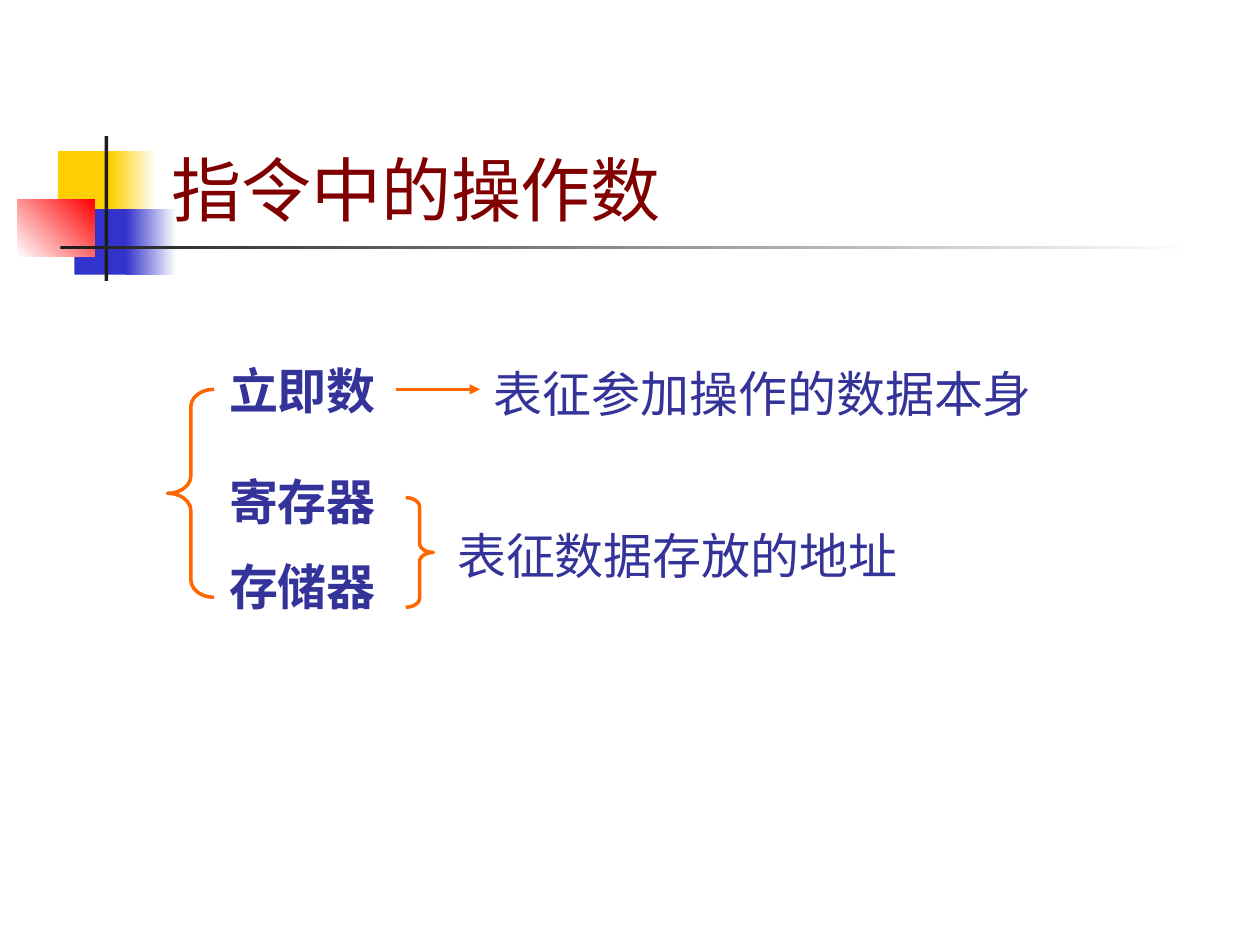
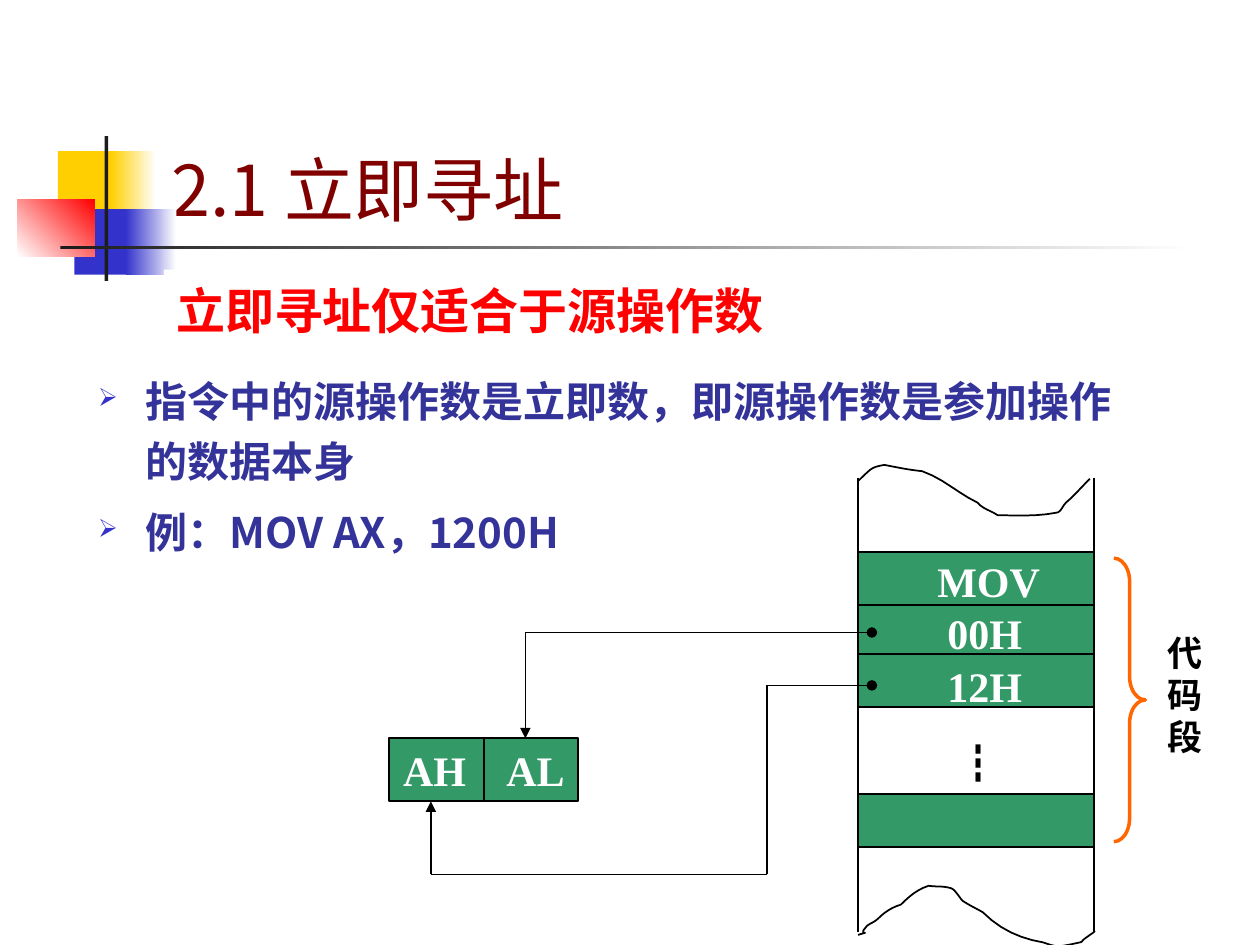
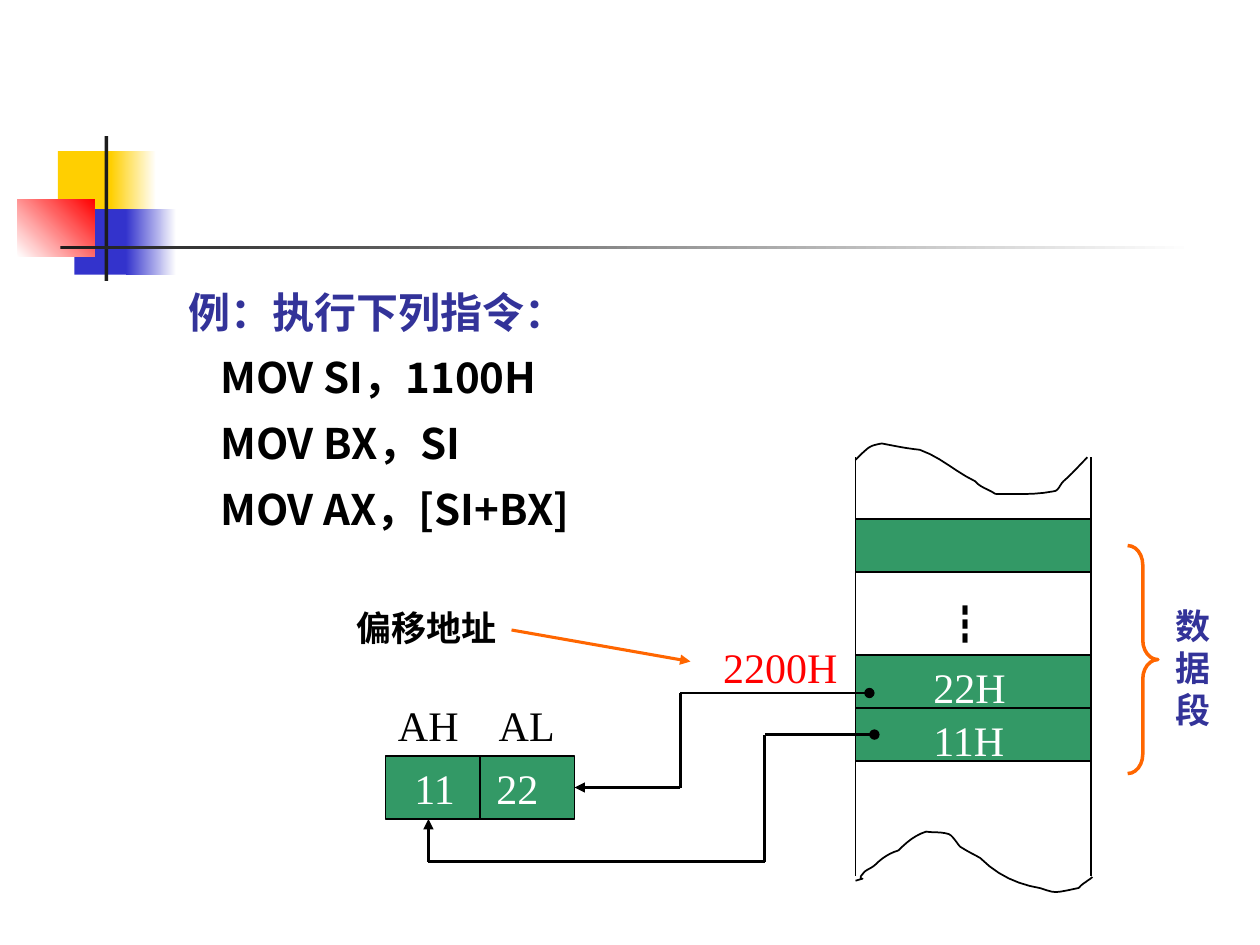
from lxml import etree
from pptx import Presentation, util as u
from pptx.dml.color import RGBColor
from pptx.enum import shapes, text
from pptx.oxml import ns

YELLOW = RGBColor(0xFF, 0xCF, 0x01)
BLUE = RGBColor(0x33, 0x33, 0xCC)
INDIGO = RGBColor(0x33, 0x33, 0x99)
RED = RGBColor(0xFF, 0x00, 0x00)
MAROON = RGBColor(0x80, 0x00, 0x00)
ORANGE = RGBColor(0xFF, 0x66, 0x00)
GREEN = RGBColor(0x33, 0x99, 0x66)
CHARCOAL = RGBColor(0x1C, 0x1C, 0x1C)
BLACK = RGBColor(0, 0, 0)
WHITE = RGBColor(0xFF, 0xFF, 0xFF)

SANS = "Noto Sans CJK SC"
SERIF = "Times New Roman"
LINE_HEIGHT = 1.2
CELL_HEIGHT = 0.42
STRIP_WIDTH = 1.87
TITLE_BOX = (1.26, 0.23, 8.52, 1.6)

TOP_WAVE = [
    (0, 0.13), (0.02, 0.11), (0.09, 0.04), (0.11, 0.03), (0.14, 0.01),
    (0.21, 0), (0.21, 0), (0.31, 0.02), (0.41, 0.04), (0.51, 0.05),
    (0.68, 0.11), (0.8, 0.23), (0.95, 0.3), (0.99, 0.35), (1.05, 0.36),
    (1.11, 0.4), (1.26, 0.4), (1.42, 0.41), (1.57, 0.38), (1.61, 0.38),
    (1.62, 0.33), (1.65, 0.3), (1.72, 0.24), (1.78, 0.17), (1.84, 0.11),
]
BOTTOM_WAVE = [
    (0, 0.39), (0.13, 0.35), (-0.02, 0.41), (0.07, 0.32), (0.09, 0.3),
    (0.13, 0.29), (0.16, 0.26), (0.21, 0.21), (0.27, 0.17), (0.34, 0.15),
    (0.41, 0.08), (0.47, 0.03), (0.56, 0), (0.62, 0.01), (0.68, 0),
    (0.74, 0.02), (0.77, 0.03), (0.81, 0.1), (0.83, 0.12), (0.91, 0.17),
    (0.92, 0.17), (0.99, 0.21), (1.13, 0.35), (1.29, 0.42), (1.47, 0.45),
    (1.59, 0.49), (1.57, 0.49), (1.76, 0.45), (1.78, 0.45), (1.78, 0.43),
    (1.8, 0.42), (1.81, 0.41), (1.83, 0.4), (1.84, 0.39), (1.86, 0.38),
    (1.88, 0.36), (1.88, 0.36),
]


def assign(target, **values):
    for name, value in values.items():
        setattr(target, name, value)


def inches(box):
    return [u.Inches(length) for length in box]


def add_node(parent, tag, **values):
    return etree.SubElement(parent, ns.qn(tag), values)


def add_block(page, kind, box, fill=None, line=None, weight=1.0, fade=None, angle=0):
    block = page.shapes.add_shape(kind, *inches(box))
    block.shadow.inherit = False
    if fade is not None:
        block.fill.gradient()
        block.fill.gradient_angle = angle
        for stop, color in zip(block.fill.gradient_stops, (fill, fade)):
            stop.color.rgb = color
    elif fill is not None:
        block.fill.solid()
        block.fill.fore_color.rgb = fill
    else:
        block.fill.background()
    if line is None:
        block.line.fill.background()
    else:
        block.line.color.rgb = line
        block.line.width = u.Pt(weight)
    return block


def add_brace(page, kind, box, curl):
    brace = add_block(page, kind, box, line=ORANGE, weight=2)
    brace.adjustments[0] = curl


def add_line(page, start, end, color=BLACK, weight=1.0, head=None, tail=None):
    line = page.shapes.add_connector(
        shapes.MSO_CONNECTOR.STRAIGHT, *inches(start + end))
    line.line.color.rgb = color
    line.line.width = u.Pt(weight)
    outline = line.line._get_or_add_ln()
    for tag, kind in (("a:headEnd", head), ("a:tailEnd", tail)):
        if kind:
            add_node(outline, tag, type=kind)
    add_node(line._element.spPr, "a:effectLst")


def add_wire(page, points, weight):
    last = len(points) - 2
    for index, (start, end) in enumerate(zip(points, points[1:])):
        add_line(page, start, end, weight=weight,
                 head="oval" if index == 0 else None,
                 tail="triangle" if index == last else None)


def write(frame, lines, size, color, font=SANS, bold=False, spacing=1.0,
          before=0, after=0):
    shift = 0.09 * size / 72 if font == SANS else 0
    assign(frame, word_wrap=True, auto_size=text.MSO_AUTO_SIZE.NONE,
           margin_left=u.Inches(0.1), margin_right=u.Inches(0.1),
           margin_top=u.Inches(0.05 + shift), margin_bottom=u.Inches(0))
    for index, words in enumerate(lines):
        para = frame.add_paragraph() if index else frame.paragraphs[0]
        assign(para, alignment=text.PP_ALIGN.LEFT,
               line_spacing=u.Pt(size * LINE_HEIGHT * spacing),
               space_before=u.Pt(size * before), space_after=u.Pt(size * after))
        span = para.add_run()
        span.text = words
        assign(span.font, size=u.Pt(size), bold=bold, name=font)
        span.font.color.rgb = color
        add_node(span.font._element, "a:ea", typeface=SANS)


def add_text(page, box, lines, size, color, **style):
    label = page.shapes.add_textbox(*inches(box))
    write(label.text_frame, lines, size, color, **style)
    return label


def indent(para, left, hanging=0.0):
    layout = para._p.get_or_add_pPr()
    layout.set("marL", str(u.Inches(left)))
    layout.set("indent", str(-u.Inches(hanging)))
    return layout


def add_bullet(para):
    layout = indent(para, 0.38, 0.38)
    tint = add_node(layout, "a:buClr")
    add_node(tint, "a:srgbClr", val=str(BLUE))
    add_node(layout, "a:buSzPct", val="60000")
    add_node(layout, "a:buChar", char="➢")


def add_curve(page, left, top, points):
    places = [points[0]]
    for first in range(0, len(points) - 1, 3):
        corners = points[first:first + 4]
        for step in range(1, 7):
            t = step / 6
            weights = ((1 - t) ** 3, 3 * t * (1 - t) ** 2, 3 * t * t * (1 - t), t ** 3)
            places.append(tuple(
                sum(weight * corner[axis] for weight, corner in zip(weights, corners))
                for axis in (0, 1)))
    places = [(u.Inches(left + x), u.Inches(top + y)) for x, y in places]
    builder = page.shapes.build_freeform(*places[0])
    builder.add_line_segments(places[1:], close=False)
    wave = builder.convert_to_shape()
    wave.shadow.inherit = False
    wave.fill.background()
    wave.line.color.rgb = BLACK
    wave.line.width = u.Pt(1)


def add_ornament(page):
    rect = shapes.MSO_SHAPE.RECTANGLE
    for box, fill, fade, angle in (
        ((0.46, 1.2, 0.48, 0.52), YELLOW, None, 0),
        ((0.88, 1.2, 0.36, 0.52), YELLOW, WHITE, 0),
        ((0.59, 1.66, 0.46, 0.52), BLUE, None, 0),
        ((1, 1.66, 0.4, 0.52), BLUE, WHITE, 0),
        ((0.14, 1.58, 0.61, 0.46), WHITE, RED, 45),
        ((0.83, 1.08, 0.03, 1.15), CHARCOAL, None, 0),
        ((0.48, 1.95, 9, 0.03), CHARCOAL, WHITE, 0),
    ):
        add_block(page, rect, box, fill, fade=fade, angle=angle)


def add_page(deck, title=None):
    page = deck.slides.add_slide(deck.slide_layouts[5 if title else 6])
    add_ornament(page)
    if title:
        heading = page.shapes.title
        assign(heading, **dict(zip(("left", "top", "width", "height"), inches(TITLE_BOX))))
        write(heading.text_frame, [title], 40, MAROON)
        heading.text_frame.vertical_anchor = text.MSO_ANCHOR.BOTTOM
    return page


def add_memory(page, left, top, bottom, cells, waves):
    right = left + STRIP_WIDTH
    for cell in cells:
        add_block(page, shapes.MSO_SHAPE.RECTANGLE,
                  (left, cell, STRIP_WIDTH, CELL_HEIGHT), GREEN, BLACK)
    for edge in (left, right):
        add_line(page, (edge, top), (edge, bottom))
    for height, points in zip(waves, (TOP_WAVE, BOTTOM_WAVE)):
        add_curve(page, left, height, points)


def add_register(page, left, top):
    width, height = 1.5, 0.5
    add_block(page, shapes.MSO_SHAPE.RECTANGLE, (left, top, width, height), GREEN, BLACK)
    middle = left + width / 2
    add_line(page, (middle, top), (middle, top + height))


def add_labels(page, labels, color, bold=False):
    for words, left, top, width in labels:
        add_text(page, (left, top, width, 0.5), [words], 24, color, font=SERIF, bold=bold)


def add_segment(page, brace, curl, words, left, top, color):
    add_brace(page, shapes.MSO_SHAPE.RIGHT_BRACE, brace, curl)
    add_text(page, (left, top, 0.5, 1.1), [words], 20, color, bold=True)


def build_operands(deck):
    page = add_page(deck, "指令中的操作数")
    kinds = add_text(page, (1.72, 2.73, 3.86, 2.88), ["立即数", "寄存器", "存储器"],
                     28, INDIGO, bold=True, spacing=1.1, before=0.2, after=0.45)
    register = kinds.text_frame.paragraphs[1]
    assign(register, space_before=u.Pt(14), space_after=u.Pt(5.6))
    add_brace(page, shapes.MSO_SHAPE.LEFT_BRACE, (1.33, 3.09, 0.37, 1.65), 0.37)
    add_brace(page, shapes.MSO_SHAPE.RIGHT_BRACE, (3.22, 3.95, 0.22, 0.87), 0.33)
    add_line(page, (3.14, 3.09), (3.81, 3.09), ORANGE, 1.75, tail="triangle")
    for words, left, top in (("表征参加操作的数据本身", 3.82, 2.8),
                             ("表征数据存放的地址", 3.53, 4.09)):
        add_text(page, (left, top, 4.73, 0.57), [words], 28, INDIGO)


def build_immediate(deck):
    page = add_page(deck, "2.1 立即寻址")
    body = add_text(page, (0.68, 2.82, 8.5, 1.67),
                    ["指令中的源操作数是立即数，即源操作数是参加操作的数据本身",
                     "例：MOV AX，1200H"],
                    24, INDIGO, bold=True, spacing=1.2, before=0.2, after=0.05)
    for para in body.text_frame.paragraphs:
        add_bullet(para)
    add_memory(page, 6.81, 3.79, 7.4, (4.38, 4.8, 5.19, 6.3), (3.69, 7.03))
    add_register(page, 3.09, 5.86)
    add_wire(page, [(6.92, 5.02), (4.17, 5.02), (4.17, 5.86)], 1)
    add_wire(page, [(6.92, 5.44), (6.09, 5.44), (6.09, 6.94), (3.42, 6.94),
                    (3.42, 6.36)], 1)
    add_labels(page, [("MOV", 7.34, 4.36, 1.08), ("00H", 7.42, 4.77, 0.92),
                      ("12H", 7.42, 5.19, 0.92), ("AH", 3.1, 5.86, 0.75),
                      ("AL", 3.92, 5.86, 0.75)], WHITE, bold=True)
    add_text(page, (7.5, 5.77, 0.67, 0.5), ["┇"], 24, BLACK)
    add_segment(page, (8.84, 4.43, 0.25, 2.25), 0.74, "代码段", 9.17, 4.94, BLACK)
    note = add_text(page, (1.3, 2.14, 7.88, 0.57), ["立即寻址仅适合于源操作数"],
                    28, RED, bold=True)
    note.fill.solid()
    note.fill.fore_color.rgb = WHITE


def build_example(deck):
    page = add_page(deck)
    body = add_text(page, (1.15, 2.15, 8.5, 2.49),
                    ["例：执行下列指令：", "MOV SI，1100H", "MOV BX，SI",
                     "MOV AX，[SI+BX]"],
                    24, BLACK, bold=True, spacing=1.1, before=0.2, after=0.05)
    lead, *codes = body.text_frame.paragraphs
    lead.runs[0].font.color.rgb = INDIGO
    indent(lead, 0.25)
    for code in codes:
        indent(code, 0.5)
    add_memory(page, 6.79, 3.63, 6.95, (4.12, 5.2, 5.62), (3.52, 6.6))
    add_register(page, 3.06, 6)
    add_wire(page, [(6.9, 5.5), (5.4, 5.5), (5.4, 6.25), (4.56, 6.25)], 1.5)
    add_wire(page, [(6.94, 5.83), (6.07, 5.83), (6.07, 6.84), (3.4, 6.84),
                    (3.4, 6.5)], 1.5)
    add_labels(page, [("22H", 7.31, 5.2, 0.92), ("11H", 7.31, 5.62, 0.92),
                      ("11", 3.19, 6, 0.75), ("22", 3.84, 6, 0.75)], WHITE)
    add_labels(page, [("AH", 3.06, 5.5, 0.75), ("AL", 3.86, 5.5, 0.75)], BLACK)
    add_labels(page, [("2200H", 5.64, 5.04, 1.15)], RED)
    add_text(page, (7.4, 4.67, 0.67, 0.5), ["┇"], 24, BLACK)
    add_text(page, (2.73, 4.74, 1.51, 0.43), ["偏移地址"], 20, BLACK, bold=True)
    add_line(page, (4.06, 5), (5.48, 5.25), ORANGE, 1.75, tail="triangle")
    add_segment(page, (8.95, 4.33, 0.24, 1.81), 0.64, "数据段", 9.23, 4.72, INDIGO)


def main():
    deck = Presentation()
    assign(deck, slide_width=u.Inches(10), slide_height=u.Inches(7.5))
    for build in (build_operands, build_immediate, build_example):
        build(deck)
    deck.save("out.pptx")


if __name__ == "__main__":
    main()
